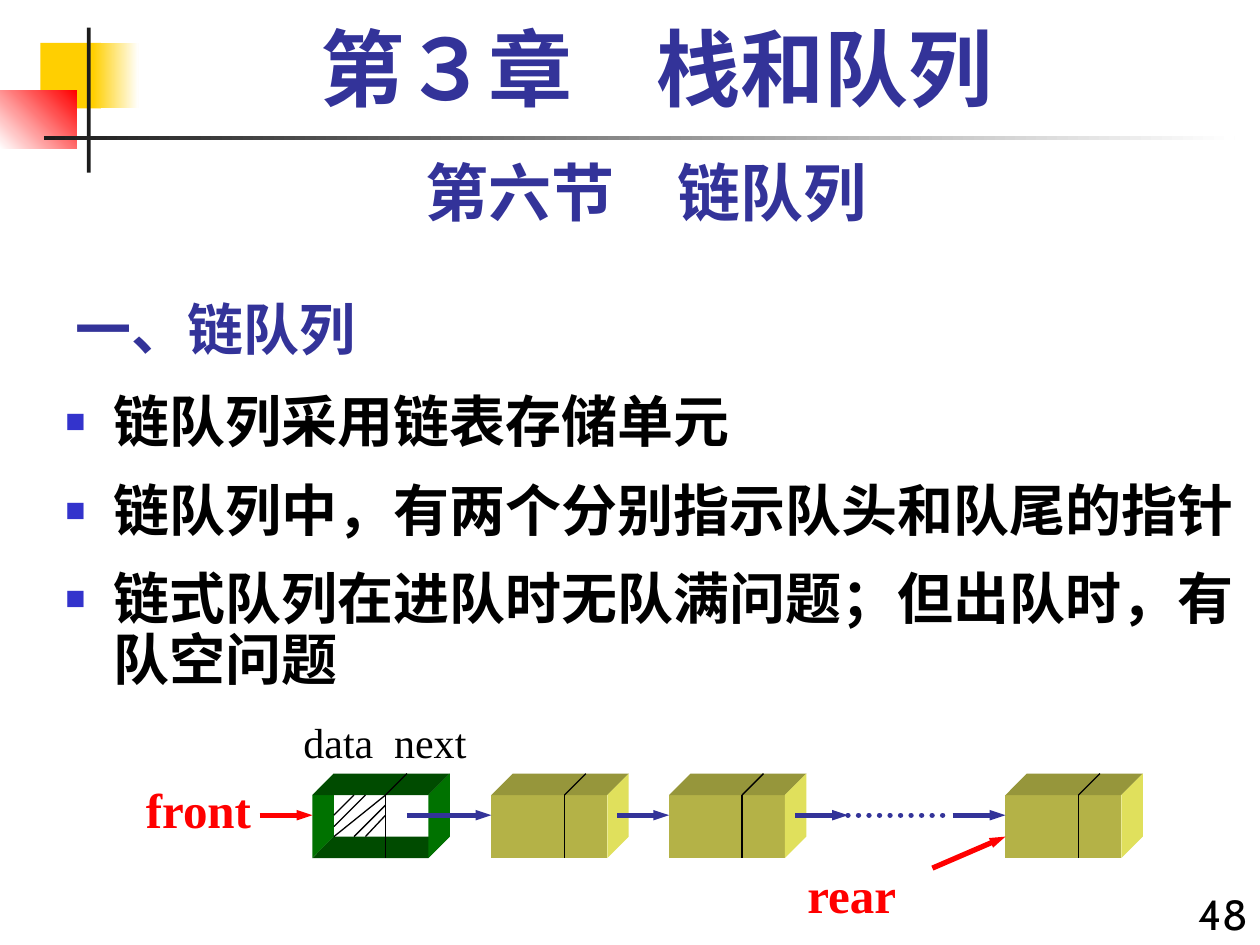
from typing import NamedTuple, Optional

from lxml.etree import SubElement
from pptx import Presentation
from pptx.dml.color import RGBColor
from pptx.enum.dml import MSO_LINE
from pptx.enum.shapes import MSO_CONNECTOR, MSO_SHAPE
from pptx.enum.text import MSO_ANCHOR, PP_ALIGN
from pptx.oxml.ns import qn
from pptx.util import Inches, Pt

NAVY, RED, BLACK, WHITE = "333399", "FF0000", "000000", "FFFFFF"
GOLD, CHARCOAL = "FFCF01", "1C1C1C"
TIMES, CABIN, NOTO = "Times New Roman", "Cabin", "Noto Sans CJK SC"

NODE_TOP, NODE_WIDTH, NODE_HEIGHT, DEPTH = 6.31, 0.92, 0.5, 0.17
DIVIDER_OFFSET = 0.58
ARROW_Y = 6.47
NODE_LEFTS = (2.48, 3.9, 5.31, 7.98)


class Bar(NamedTuple):
    left: float
    top: float
    width: float
    height: float
    start: str
    end: Optional[str] = None
    angle: float = 0


class Label(NamedTuple):
    left: float
    top: float
    width: float
    height: float
    lines: tuple[str, ...]
    font: str
    size: float
    color: str
    bold: bool = True
    align: PP_ALIGN = PP_ALIGN.LEFT
    anchor: MSO_ANCHOR = MSO_ANCHOR.TOP
    wrap: bool = True
    bullets: bool = False
    spacing: float = 1.0


class Line(NamedTuple):
    start: tuple[float, float]
    end: tuple[float, float]
    color: str = BLACK
    width: float = 0.75
    arrow: bool = False
    dotted: bool = False


BARS = (
    Bar(0.32, 0.34, 0.48, 0.52, GOLD),
    Bar(0.74, 0.34, 0.36, 0.52, GOLD, WHITE),
    Bar(0, 0.72, 0.61, 0.46, WHITE, RED, 45),
    Bar(0.69, 0.22, 0.03, 1.15, CHARCOAL),
    Bar(0.35, 1.08, 9.45, 0.03, CHARCOAL, WHITE),
)

LABELS = (
    Label(0.5, 2.17, 6.25, 0.75, ("一、链队列",), NOTO, 32, NAVY, anchor=MSO_ANCHOR.BOTTOM),
    Label(9.33, 7, 0.67, 0.5, ("48",), CABIN, 24, BLACK, bold=False, align=PP_ALIGN.RIGHT),
    Label(0.5, 1.17, 9.25, 0.7, ("第六节　链队列",), CABIN, 36, NAVY, align=PP_ALIGN.CENTER),
    Label(0.42, 3.08, 9.58, 4.42,
          ("链队列采用链表存储单元",
           "链队列中，有两个分别指示队头和队尾的指针",
           "链式队列在进队时无队满问题；但出队时，有队空问题"),
          NOTO, 32, BLACK, bullets=True, spacing=0.9),
    Label(0.67, 0.17, 9.08, 0.83, ("第３章　栈和队列",), TIMES, 48, NAVY,
          align=PP_ALIGN.CENTER, spacing=0.9),
    Label(2.31, 5.64, 1, 0.5, ("data",), TIMES, 24, BLACK, bold=False),
    Label(3.03, 5.64, 1, 0.5, ("next",), TIMES, 24, BLACK, bold=False),
    Label(1.06, 6.14, 1.05, 0.57, ("front",), TIMES, 28, RED, wrap=False),
    Label(6.31, 6.81, 0.91, 0.57, ("rear",), TIMES, 28, RED, wrap=False),
)

HATCHING = (
    Line((2.9, 6.31), (2.65, 6.56)),
    Line((3.06, 6.39), (2.81, 6.64)),
    Line((3.06, 6.31), (2.65, 6.64)),
    Line((3.06, 6.47), (2.9, 6.64)),
    Line((2.81, 6.31), (2.65, 6.47)),
)

POINTERS = (
    Line((2.06, ARROW_Y), (2.48, ARROW_Y), RED, 3, arrow=True),
    *(Line((start, ARROW_Y), (end, ARROW_Y), NAVY, 3, arrow=True)
      for start, end in ((3.23, 3.9), (4.9, 5.31), (6.31, 6.73), (7.56, 7.98))),
    Line((6.73, ARROW_Y), (7.56, ARROW_Y), NAVY, 3, dotted=True),
    Line((7.4, 6.89), (7.98, 6.64), RED, 3, arrow=True),
)


def rgb(color: str) -> RGBColor:
    return RGBColor.from_string(color)


def paint(shape, color: str) -> None:
    shape.shadow.inherit = False
    shape.line.fill.background()
    shape.fill.solid()
    shape.fill.fore_color.rgb = rgb(color)


def add_bar(slide, bar: Bar) -> None:
    box = map(Inches, (bar.left, bar.top, bar.width, bar.height))
    shape = slide.shapes.add_shape(MSO_SHAPE.RECTANGLE, *box)
    paint(shape, bar.start)
    if bar.end:
        shape.fill.gradient()
        shape.fill.gradient_angle = bar.angle
        for stop, color in zip(shape.fill.gradient_stops, (bar.start, bar.end)):
            stop.color.rgb = rgb(color)


def add_bullet(paragraph) -> None:
    properties = paragraph._p.get_or_add_pPr()
    properties.set("marL", str(Inches(0.38)))
    properties.set("indent", str(-Inches(0.38)))
    color = SubElement(properties, qn("a:buClr"))
    SubElement(color, qn("a:srgbClr"), val="3333CC")
    SubElement(properties, qn("a:buSzPct"), val="60000")
    SubElement(properties, qn("a:buFont"), typeface=TIMES)
    SubElement(properties, qn("a:buChar"), char="■")


def add_label(slide, label: Label) -> None:
    box = map(Inches, (label.left, label.top, label.width, label.height))
    frame = slide.shapes.add_textbox(*box).text_frame
    frame.word_wrap = label.wrap
    frame.vertical_anchor = label.anchor
    font_format = {"name": label.font, "size": Pt(label.size), "bold": label.bold}
    for index, text in enumerate(label.lines):
        paragraph = frame.add_paragraph() if index else frame.paragraphs[0]
        if label.bullets:
            add_bullet(paragraph)
        paragraph.alignment = label.align
        paragraph.line_spacing = label.spacing
        paragraph.space_before = Pt(label.size / 2 if index else 0)
        run = paragraph.add_run()
        run.text = text
        for name, value in font_format.items():
            setattr(run.font, name, value)
        run.font.color.rgb = rgb(label.color)
        SubElement(run._r.get_or_add_rPr(), qn("a:ea"), typeface=NOTO)


def add_line(slide, line: Line) -> None:
    ends = map(Inches, (*line.start, *line.end))
    connector = slide.shapes.add_connector(MSO_CONNECTOR.STRAIGHT, *ends)
    SubElement(connector._element.spPr, qn("a:effectLst"))
    connector.line.color.rgb = rgb(line.color)
    connector.line.width = Pt(line.width)
    outline = connector.line._get_or_add_ln()
    if line.dotted:
        connector.line.dash_style = MSO_LINE.ROUND_DOT
        outline.set("cap", "rnd")
    if line.arrow:
        SubElement(outline, qn("a:tailEnd"), type="triangle", w="sm", len="med")


def add_face(slide, points: list[tuple[float, float]], color: str) -> None:
    corners = [(Inches(x), Inches(y)) for x, y in points]
    builder = slide.shapes.build_freeform(*corners[0])
    builder.add_line_segments(corners[1:], close=True)
    paint(builder.convert_to_shape(), color)


def add_node(slide, left: float, hollow: bool) -> None:
    """Draw a block in depth; a hollow one shows its inner left and bottom walls."""
    right, top, bottom = left + NODE_WIDTH, NODE_TOP, NODE_TOP + NODE_HEIGHT
    front, lid, side = (WHITE, "004B00", "007200") if hollow else ("B4B247", "96963B", "E0E05C")

    def back(x: float, y: float) -> tuple[float, float]:
        return x + DEPTH, y - DEPTH

    add_face(slide, [(left, top), (right, top), (right, bottom), (left, bottom)], front)
    if hollow:
        add_face(slide, [(left, top), back(left, top), back(left, bottom), (left, bottom)], side)
        add_face(slide, [(left, bottom), back(left, bottom), back(right, bottom),
                         (right, bottom)], lid)
    add_face(slide, [(left, top), back(left, top), back(right, top), (right, top)], lid)
    add_face(slide, [(right, top), back(right, top), back(right, bottom), (right, bottom)], side)
    divider = left + DIVIDER_OFFSET
    add_line(slide, Line((divider, top), (divider, bottom)))
    add_line(slide, Line((divider, top), back(divider, top)))


def main() -> None:
    presentation = Presentation()
    presentation.slide_width, presentation.slide_height = Inches(10), Inches(7.5)
    slide = presentation.slides.add_slide(presentation.slide_layouts[6])
    for bar in BARS:
        add_bar(slide, bar)
    for label in LABELS:
        add_label(slide, label)
    for index, left in enumerate(NODE_LEFTS):
        add_node(slide, left, hollow=index == 0)
    for line in HATCHING + POINTERS:
        add_line(slide, line)
    presentation.save("out.pptx")


if __name__ == "__main__":
    main()
